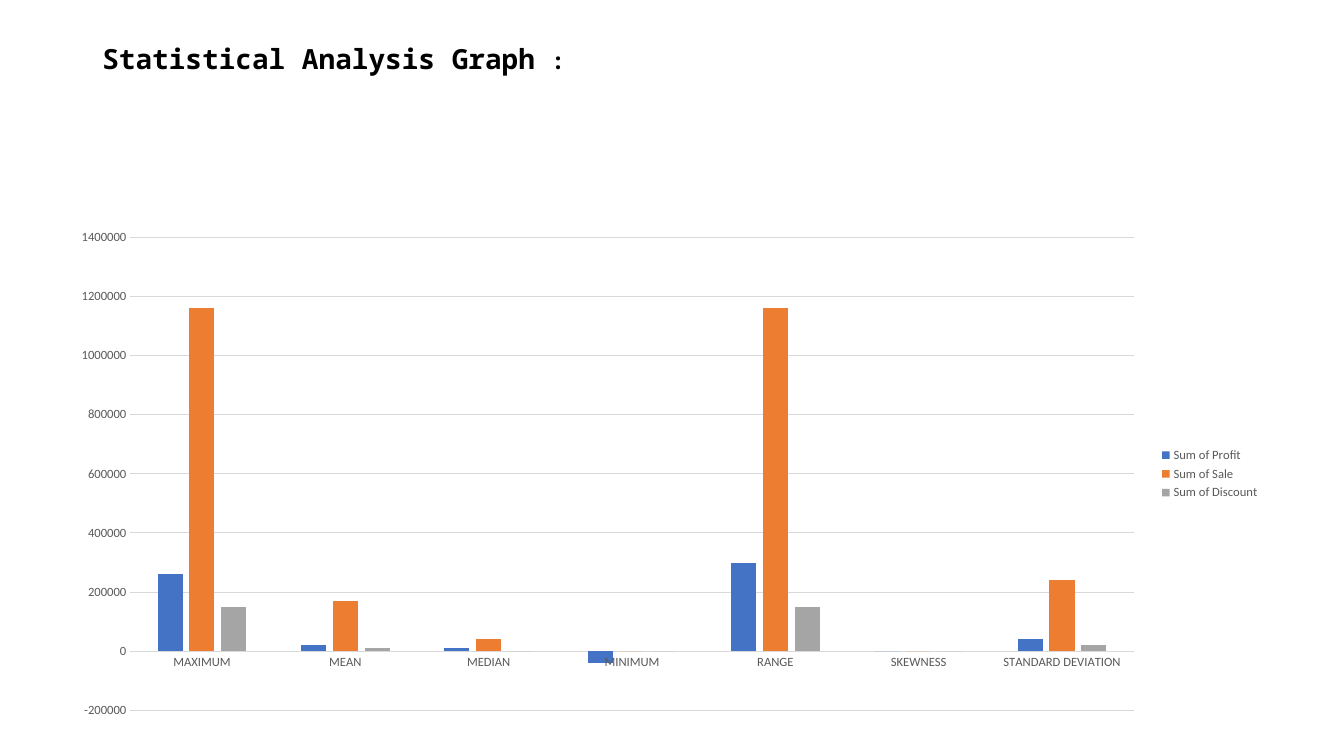
from dataclasses import dataclass

from pptx import Presentation
from pptx.chart.axis import CategoryAxis, ValueAxis
from pptx.chart.chart import Chart
from pptx.chart.data import CategoryChartData
from pptx.dml.color import RGBColor
from pptx.enum.chart import XL_CHART_TYPE, XL_LEGEND_POSITION, XL_TICK_MARK
from pptx.enum.text import MSO_ANCHOR
from pptx.slide import Slide
from pptx.text.text import Font, _Paragraph
from pptx.util import Pt


@dataclass(frozen=True)
class Theme:
    black: str = "000000"
    label: str = "595959"
    grid: str = "D9D9D9"
    blue: str = "4472C4"
    orange: str = "ED7D31"
    grey: str = "A5A5A5"
    title_font: str = "Noto Sans Mono"
    chart_font: str = "Calibri"
    title_size: float = 19.8
    colon_size: float = 16.2
    chart_size: float = 10
    label_size: float = 9
    hairline: float = 0.75


@dataclass(frozen=True)
class Box:
    left: float
    top: float
    width: float
    height: float

    def lengths(self) -> tuple[Pt, Pt, Pt, Pt]:
        return Pt(self.left), Pt(self.top), Pt(self.width), Pt(self.height)


@dataclass(frozen=True)
class Measure:
    name: str
    values: tuple[int, ...]
    color: str


THEME = Theme()
TITLE_BOX = Box(66, 28.8, 828, 104.4)
GRAPH_BOX = Box(41, 157, 866, 363)
STATISTICS = ("MAXIMUM", "MEAN", "MEDIAN", "MINIMUM", "RANGE", "SKEWNESS", "STANDARD DEVIATION")
MEASURES = (
    Measure("Sum of Profit", (260000, 20000, 10000, -40000, 300000, 0, 40000), THEME.blue),
    Measure("Sum of Sale", (1160000, 170000, 40000, 0, 1160000, 0, 240000), THEME.orange),
    Measure("Sum of Discount", (150000, 10000, 0, 0, 150000, 0, 20000), THEME.grey),
)


def format_font(font: Font, *, name: str, size: float, color: str, bold: bool = False) -> None:
    font.name = name
    font.size = Pt(size)
    font.bold = bold
    font.color.rgb = RGBColor.from_string(color)


def add_text(paragraph: _Paragraph, text: str, *, name: str, size: float, color: str,
             bold: bool = False) -> None:
    run = paragraph.add_run()
    run.text = text
    format_font(run.font, name=name, size=size, color=color, bold=bold)


def add_title(slide: Slide) -> None:
    frame = slide.shapes.add_textbox(*TITLE_BOX.lengths()).text_frame
    frame.word_wrap = True
    frame.vertical_anchor = MSO_ANCHOR.TOP
    heading = frame.paragraphs[0]
    heading.line_spacing = 0.9
    for text, size in (("Statistical Analysis Graph ", THEME.title_size), (":", THEME.colon_size)):
        add_text(heading, text, name=THEME.title_font, size=size, color=THEME.black, bold=True)


def format_label(font: Font) -> None:
    format_font(font, name=THEME.chart_font, size=THEME.label_size, color=THEME.label)


def format_axis(axis: CategoryAxis | ValueAxis) -> None:
    axis.major_tick_mark = axis.minor_tick_mark = XL_TICK_MARK.NONE
    format_label(axis.tick_labels.font)


def format_axes(chart: Chart) -> None:
    statistics, amounts = chart.category_axis, chart.value_axis
    format_axis(statistics)
    format_axis(amounts)
    amounts.has_major_gridlines = True
    amounts.format.line.fill.background()
    for line in (statistics.format.line, amounts.major_gridlines.format.line):
        line.color.rgb = RGBColor.from_string(THEME.grid)
        line.width = Pt(THEME.hairline)


def add_graph(slide: Slide) -> None:
    data = CategoryChartData()
    data.categories = STATISTICS
    for measure in MEASURES:
        data.add_series(measure.name, measure.values)
    chart = slide.shapes.add_chart(
        XL_CHART_TYPE.COLUMN_CLUSTERED, *GRAPH_BOX.lengths(), data
    ).chart
    chart.has_title = False
    format_font(chart.font, name=THEME.chart_font, size=THEME.chart_size, color=THEME.black)
    chart.has_legend = True
    chart.legend.position = XL_LEGEND_POSITION.RIGHT
    chart.legend.include_in_layout = False
    format_label(chart.legend.font)
    format_axes(chart)
    columns = chart.plots[0]
    columns.gap_width = 219
    columns.overlap = -27
    columns.vary_by_categories = False
    for series, measure in zip(columns.series, MEASURES):
        series.invert_if_negative = False
        series.format.fill.solid()
        series.format.fill.fore_color.rgb = RGBColor.from_string(measure.color)


def main() -> None:
    """Build the statistical analysis slide and save it."""
    deck = Presentation()
    deck.slide_width, deck.slide_height = Pt(960), Pt(540)
    slide = deck.slides.add_slide(deck.slide_layouts[6])
    add_title(slide)
    add_graph(slide)
    deck.save("out.pptx")


if __name__ == "__main__":
    main()
